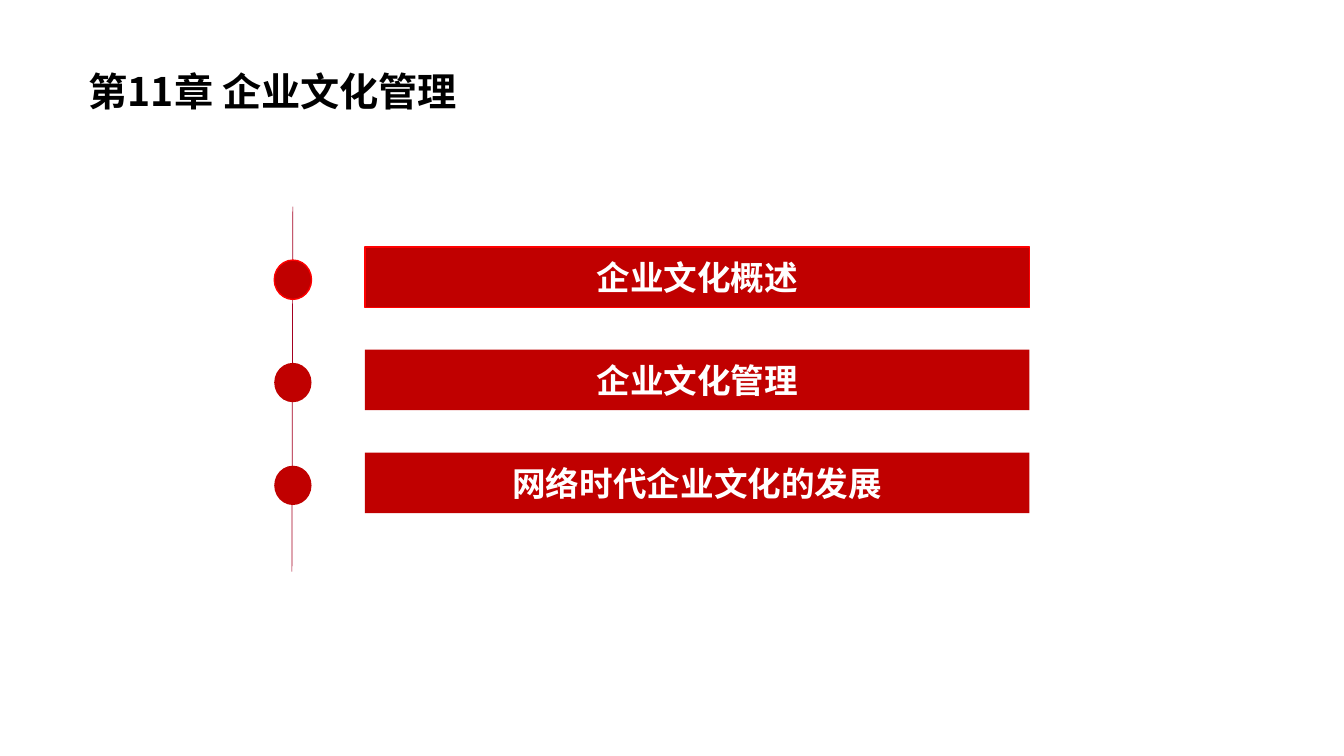
from lxml.etree import SubElement
from pptx import Presentation
from pptx.dml.color import RGBColor
from pptx.enum.shapes import MSO_CONNECTOR, MSO_SHAPE
from pptx.enum.text import MSO_ANCHOR, MSO_AUTO_SIZE, PP_ALIGN
from pptx.oxml.ns import qn
from pptx.util import Inches, Pt

RED = RGBColor(0xC0, 0x00, 0x00)
BRIGHT_RED = RGBColor(0xFF, 0x00, 0x00)
CRIMSON = RGBColor(0xA5, 0x00, 0x21)
WHITE = RGBColor(0xFF, 0xFF, 0xFF)
BLACK = RGBColor(0x00, 0x00, 0x00)
FONT = "Noto Sans CJK SC"

TITLE = "第11章 企业文化管理"
SECTIONS = ["企业文化概述", "企业文化管理", "网络时代企业文化的发展"]
ROW_PITCH = 1.02
DOT_WIDTH, DOT_HEIGHT = 0.37, 0.39
BAR_OFFSET, BAR_HEIGHT = 0.9, 0.6


def set_attributes(target, values):
    for name, value in values.items():
        setattr(target, name, value)


def write_text(shape, text, size, color, paragraph_format):
    frame = shape.text_frame
    set_attributes(frame, {
        "word_wrap": True,
        "auto_size": MSO_AUTO_SIZE.NONE,
        "vertical_anchor": MSO_ANCHOR.MIDDLE,
    })
    paragraph = frame.paragraphs[0]
    set_attributes(paragraph, paragraph_format)
    run = paragraph.add_run()
    run.text = text
    set_attributes(run.font, {"name": FONT, "size": Pt(size), "bold": True})
    run.font.color.rgb = color
    SubElement(run.font._element, qn("a:ea"), typeface=FONT)


def add_title(slide, left, top, width, height):
    title = slide.shapes.title
    set_attributes(title, {
        "left": Inches(left),
        "top": Inches(top),
        "width": Inches(width),
        "height": Inches(height),
    })
    title.text_frame.margin_left = Inches(0.14)
    write_text(title, TITLE, 28, BLACK, {"alignment": PP_ALIGN.JUSTIFY})


def add_red_shape(group, kind, left, top, width, height, outlined):
    shape = group.shapes.add_shape(
        kind, Inches(left), Inches(top), Inches(width), Inches(height))
    shape.shadow.inherit = False
    shape.fill.solid()
    shape.fill.fore_color.rgb = RED
    if outlined:
        shape.line.color.rgb = BRIGHT_RED
        shape.line.width = Pt(1)
    else:
        shape.line.fill.background()
    return shape


def add_section(slide, text, left, top, width, outlined):
    group = slide.shapes.add_group_shape()
    dot_top = top + 0.13
    add_red_shape(group, MSO_SHAPE.OVAL, left, dot_top,
                  DOT_WIDTH, DOT_HEIGHT, outlined)
    bar = add_red_shape(group, MSO_SHAPE.RECTANGLE, left + BAR_OFFSET, top,
                        width - BAR_OFFSET, BAR_HEIGHT, outlined)
    write_text(bar, text, 24, WHITE,
               {"alignment": PP_ALIGN.CENTER, "space_before": Pt(10)})


def add_timeline(slide, left, top, width, height):
    center = left + DOT_WIDTH / 2
    axis = slide.shapes.add_connector(
        MSO_CONNECTOR.STRAIGHT, Inches(center), Inches(top),
        Inches(center - 0.01), Inches(top + height))
    axis.line.color.rgb = CRIMSON
    axis.line.width = Pt(0.5)
    SubElement(axis._element.spPr, qn("a:effectLst"))
    for row, text in enumerate(SECTIONS):
        add_section(slide, text, left, top + 0.4 + row * ROW_PITCH,
                    width, outlined=row == 0)


def main():
    presentation = Presentation()
    set_attributes(presentation, {
        "slide_width": Inches(13.33),
        "slide_height": Inches(7.5),
    })
    slide = presentation.slides.add_slide(presentation.slide_layouts[5])
    add_title(slide, 0.74, 0.48, 7.9, 0.85)
    add_timeline(slide, 2.72, 2.05, 7.49, 3.62)
    presentation.save("out.pptx")


if __name__ == "__main__":
    main()
